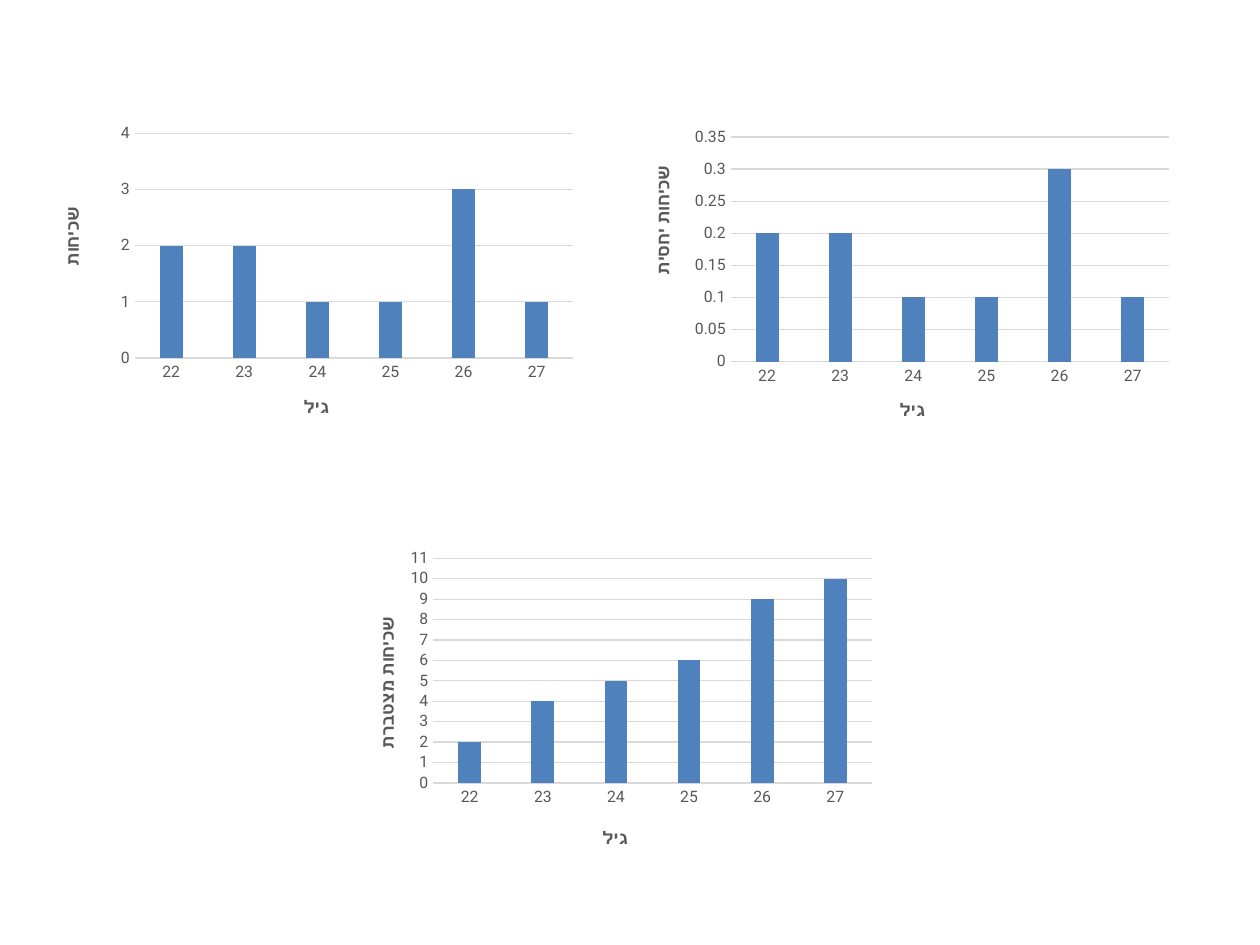
"""Build a slide with three column charts of age frequencies."""
import pptx
import pptx.chart.data
import pptx.dml.color
import pptx.enum.chart
import pptx.oxml
import pptx.oxml.ns
import pptx.util

FONT = "Roboto"
COLORS = {"bar": "4F81BD", "text": "595959", "grid": "D9D9D9", "base": "000000"}
AGES = ["22", "23", "24", "25", "26", "27"]
AGE_TITLE = "גיל"
CHART_SIZE = (4.33, 2.76)
AGE_TITLE_PLACE = (0.47, 0.9)
CHARTS = [
    {"title": "שכיחות", "at": (0.35, 0.65), "values": [2, 2, 1, 1, 3, 1],
     "top": 4, "step": 1, "title_place": (0.03, 0.35), "plot_top": 0.148},
    {"title": "שכיחות מצטברת", "at": (2.72, 4.07), "values": [2, 4, 5, 6, 9, 10],
     "top": 11, "step": 1, "title_place": (0.06, 0.29), "plot_top": 0.131},
    {"title": "שכיחות יחסית", "at": (5.08, 0.68), "values": [0.2, 0.2, 0.1, 0.1, 0.3, 0.1],
     "top": 0.35, "step": 0.05, "title_place": (0.02, 0.22), "plot_top": 0.148},
]


def color(name):
    return pptx.dml.color.RGBColor.from_string(COLORS[name])


def style_font(font, size, name, bold=False):
    font.name = FONT
    font.size = pptx.util.Pt(size)
    font.bold = bold
    font.color.rgb = color(name)


def style_line(line):
    line.color.rgb = color("grid")
    line.width = pptx.util.Pt(0.75)


def set_layout(parent, settings):
    """Replace the layout of a chart part by a manual one."""
    tag = pptx.oxml.ns.qn("c:layout")
    for old in parent.findall(tag):
        parent.remove(old)
    items = "".join(f'<c:{key} val="{value}"/>' for key, value in settings.items())
    layout = pptx.oxml.parse_xml(
        f'<c:layout {pptx.oxml.ns.nsdecls("c")}><c:manualLayout>{items}'
        "</c:manualLayout></c:layout>")
    text = parent.find(pptx.oxml.ns.qn("c:tx"))
    parent.insert(0 if text is None else 1, layout)


def style_axis(axis, title, place):
    axis.major_tick_mark = axis.minor_tick_mark = pptx.enum.chart.XL_TICK_MARK.NONE
    style_font(axis.tick_labels.font, 9, "text")
    frame = axis.axis_title.text_frame
    frame.text = title
    style_font(frame.paragraphs[0].runs[0].font, 10, "text", True)
    set_layout(axis.axis_title._element,
               {"xMode": "edge", "yMode": "edge", "x": place[0], "y": place[1]})


def add_column_chart(slide, item):
    data = pptx.chart.data.CategoryChartData()
    data.categories = AGES
    data.add_series("Series 1", item["values"])
    box = [pptx.util.Inches(length) for length in item["at"] + CHART_SIZE]
    kind = pptx.enum.chart.XL_CHART_TYPE.COLUMN_CLUSTERED
    chart = slide.shapes.add_chart(kind, *box, data).chart
    chart.has_legend = False
    chart.has_title = False
    style_font(chart.font, 10, "base")

    plot = chart.plots[0]
    plot.gap_width, plot.overlap = 219, -27
    plot.vary_by_categories = False
    fill = plot.series[0].format.fill
    fill.solid()
    fill.fore_color.rgb = color("bar")

    ages, counts = chart.category_axis, chart.value_axis
    style_axis(ages, AGE_TITLE, AGE_TITLE_PLACE)
    style_axis(counts, item["title"], item["title_place"])
    body = counts.axis_title.text_frame._txBody.bodyPr
    body.set("rot", "-5400000")
    body.set("vert", "horz")
    style_line(ages.format.line)
    counts.format.line.fill.background()
    style_line(counts.major_gridlines.format.line)
    counts.minimum_scale, counts.maximum_scale = 0, item["top"]
    counts.major_unit = item["step"]
    set_layout(chart._chartSpace.chart.plotArea,
               {"layoutTarget": "inner", "xMode": "edge", "yMode": "edge",
                "x": 0.166, "y": item["plot_top"], "w": 0.804, "h": 0.646})


def main():
    deck = pptx.Presentation()
    deck.slide_width = pptx.util.Inches(10)
    deck.slide_height = pptx.util.Inches(7.5)
    slide = deck.slides.add_slide(deck.slide_layouts[6])
    for item in CHARTS:
        add_column_chart(slide, item)
    deck.save("out.pptx")


if __name__ == "__main__":
    main()
